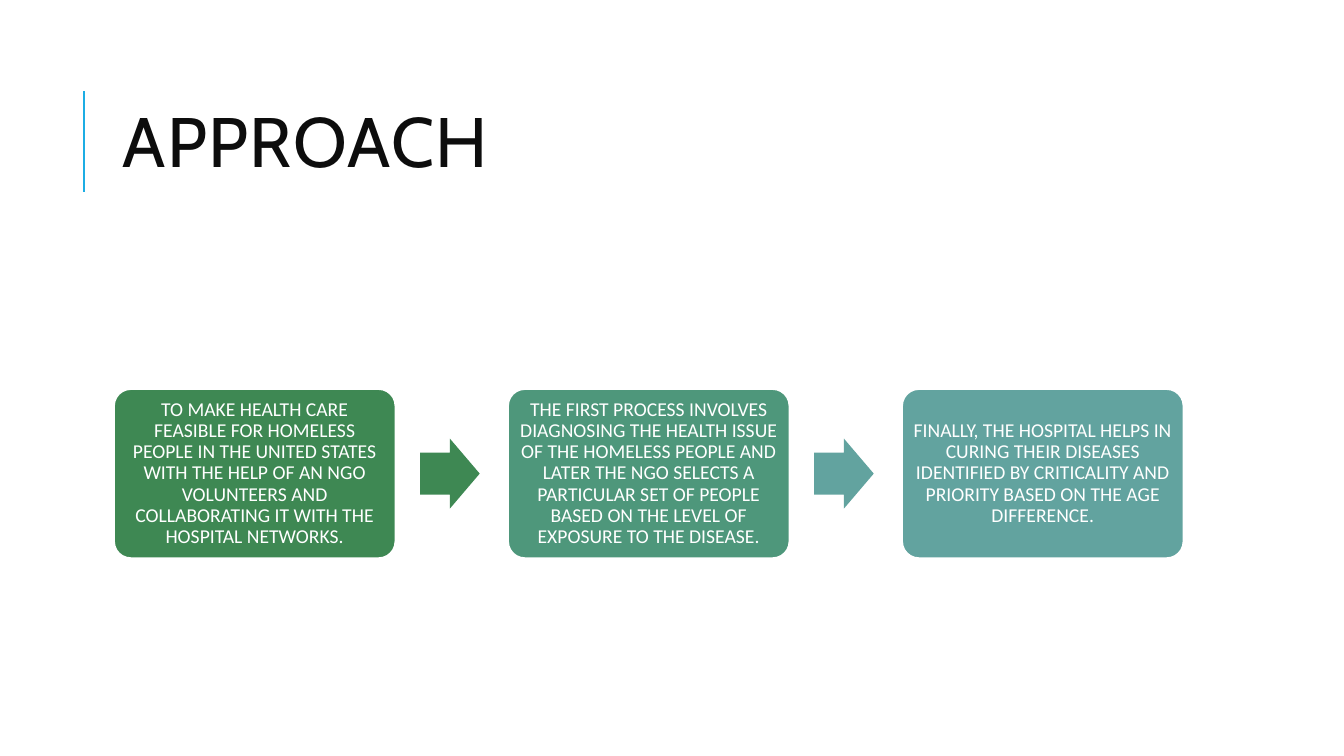
from dataclasses import dataclass

from lxml import etree
from pptx import Presentation, util as u
from pptx.dml.color import RGBColor
from pptx.enum import shapes, text
from pptx.oxml.ns import qn


@dataclass(frozen=True)
class Theme:
    accent: str = "1CADE4"
    heading: str = "0D0D0D"
    white: str = "FFFFFF"
    green: str = "3E8853"
    sea: str = "4E977B"
    teal: str = "62A39F"
    heading_font: str = "Cabin"
    body_font: str = "Calibri"
    heading_size: int = 50
    body_size: int = 14
    line_width: float = 1.5


theme = Theme()


def style_text(paragraph, font_name, size, color, line_spacing):
    paragraph.line_spacing = line_spacing
    paragraph.font.name = font_name
    paragraph.font.size = u.Pt(size)
    paragraph.font.color.rgb = RGBColor.from_string(color)


def add_filled(kind, left, top, width, height, color):
    shape = slide.shapes.add_shape(
        kind, u.Cm(left), u.Cm(top), u.Cm(width), u.Cm(height))
    shape.shadow.inherit = False
    shape.fill.solid()
    shape.fill.fore_color.rgb = RGBColor.from_string(color)
    return shape


deck = Presentation()
deck.slide_width, deck.slide_height = u.Cm(33.87), u.Cm(19.05)
slide = deck.slides.add_slide(deck.slide_layouts[6])

# Accent rule beside the heading
accent_rule = slide.shapes.add_connector(
    shapes.MSO_CONNECTOR.STRAIGHT, u.Cm(2.12), u.Cm(4.83), u.Cm(2.12), u.Cm(2.29))
accent_rule.line.color.rgb = RGBColor.from_string(theme.accent)
accent_rule.line.width = u.Pt(theme.line_width)
etree.SubElement(accent_rule._element.spPr, qn("a:effectLst"))

# Heading
heading = slide.shapes.add_textbox(u.Cm(2.84), u.Cm(1.63), u.Cm(27), u.Cm(4.17))
heading_frame = heading.text_frame
heading_frame.word_wrap = True
heading_frame.vertical_anchor = text.MSO_ANCHOR.MIDDLE
heading_line = heading_frame.paragraphs[0]
heading_run = heading_line.add_run()
heading_run.text = "APPROACH"
heading_run._r.get_or_add_rPr().set("spc", "100")
style_text(heading_line, theme.heading_font, theme.heading_size, theme.heading, 0.8)

# Process steps, each after the first led in by an arrow of its colour rule
steps = [
    ("TO MAKE HEALTH CARE FEASIBLE FOR HOMELESS PEOPLE IN THE UNITED STATES "
     "WITH THE HELP OF AN NGO VOLUNTEERS AND COLLABORATING IT WITH THE "
     "HOSPITAL NETWORKS.", theme.green, theme.green),
    ("THE FIRST PROCESS INVOLVES DIAGNOSING THE HEALTH ISSUE OF THE HOMELESS "
     "PEOPLE AND LATER THE NGO SELECTS A PARTICULAR SET OF PEOPLE BASED ON "
     "THE LEVEL OF EXPOSURE TO THE DISEASE.", theme.sea, theme.teal),
    ("FINALLY, THE HOSPITAL HELPS IN CURING THEIR DISEASES IDENTIFIED BY "
     "CRITICALITY AND PRIORITY BASED ON THE AGE DIFFERENCE.", theme.teal, None),
]
first_left, step_top, step_width, step_height = 2.87, 9.8, 7.1, 4.27
step_pitch = 9.93
arrow_offset, arrow_width, arrow_height = 7.72, 1.5, 1.76
arrow_top = step_top + (step_height - arrow_height) / 2

for index, (wording, step_color, arrow_color) in enumerate(steps):
    left = first_left + index * step_pitch
    step = add_filled(shapes.MSO_SHAPE.ROUNDED_RECTANGLE,
                      left, step_top, step_width, step_height, step_color)
    step.adjustments[0] = 0.1
    step.line.color.rgb = RGBColor.from_string(theme.white)
    step.line.width = u.Pt(theme.line_width)

    frame = step.text_frame
    frame.word_wrap = True
    frame.vertical_anchor = text.MSO_ANCHOR.MIDDLE
    frame.margin_left = frame.margin_right = u.Cm(0.15)
    frame.margin_top = frame.margin_bottom = u.Cm(0.15)
    sentence = frame.paragraphs[0]
    sentence.text = wording
    sentence.alignment = text.PP_ALIGN.CENTER
    style_text(sentence, theme.body_font, theme.body_size, theme.white, 0.9)

    if arrow_color:
        arrow = add_filled(shapes.MSO_SHAPE.RIGHT_ARROW, left + arrow_offset,
                           arrow_top, arrow_width, arrow_height, arrow_color)
        arrow.adjustments[0] = 0.6
        arrow.adjustments[1] = 0.5
        arrow.line.fill.background()

deck.save("out.pptx")
